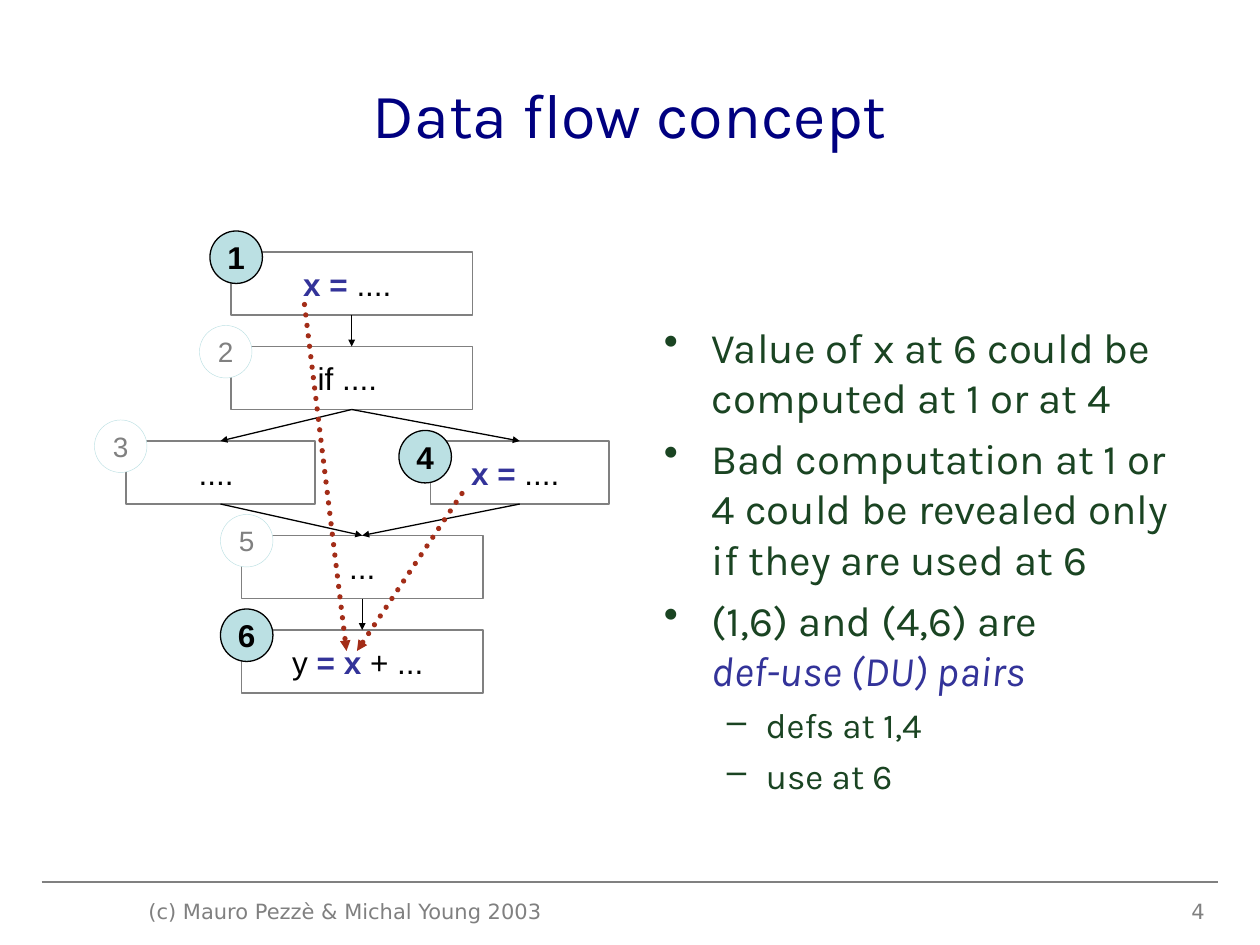
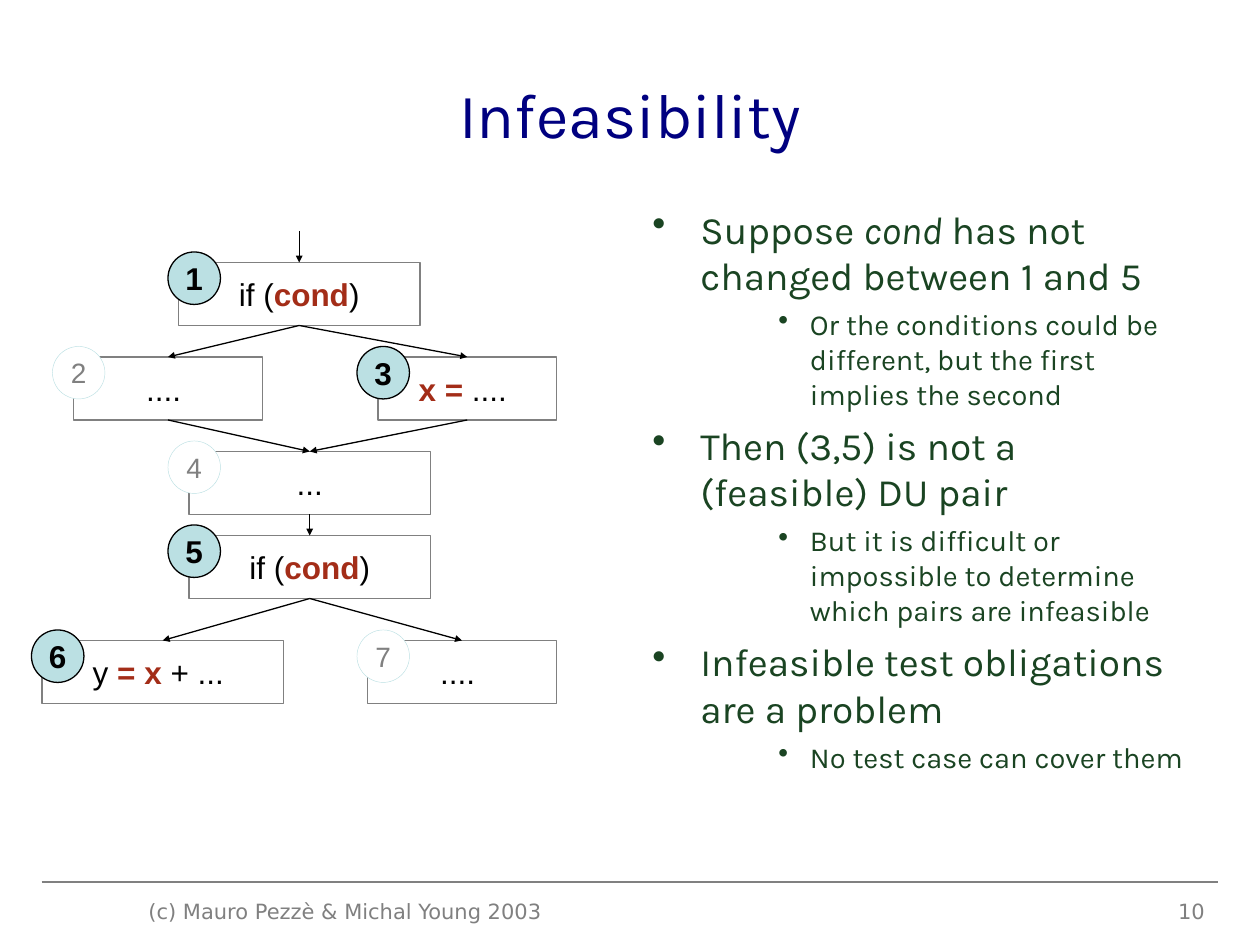
"""Build two data flow testing slides: a control flow graph beside bullet points."""
from lxml.etree import SubElement
from pptx import Presentation
from pptx.dml.color import RGBColor
from pptx.enum.dml import MSO_LINE
from pptx.enum.shapes import MSO_CONNECTOR, MSO_SHAPE
from pptx.enum.text import MSO_ANCHOR, PP_ALIGN
from pptx.oxml.ns import qn
from pptx.util import Inches, Pt

NAVY = RGBColor(0x00, 0x00, 0x80)
INDIGO = RGBColor(0x33, 0x33, 0x99)
RED = RGBColor(0xA3, 0x2D, 0x18)
GREEN = RGBColor(0x1A, 0x44, 0x22)
TEAL = RGBColor(0xBB, 0xE0, 0xE3)
GRAY = RGBColor(0x80, 0x80, 0x80)
BLACK = RGBColor(0x00, 0x00, 0x00)
WHITE = RGBColor(0xFF, 0xFF, 0xFF)

HEADING_FONT, GRAPH_FONT, FOOTER_FONT = "Karla", "Arial", "DejaVu Sans"
COPYRIGHT = "(c) Mauro Pezzè & Michal Young 2003"

GRID_PER_INCH = 12
NODE_HEIGHT, BADGE_SIZE = 6, 5
TOP, BOTTOM = 0, 2

# level: bullet, left indent, hanging indent
LEVELS = {0: ("•", 0.38, 0.38), 1: ("–", 0.81, 0.31), 2: ("•", 1.25, 0.25)}

# Text between bars is emphasised.
# nodes: number -> (column, row, width, badge shift, active, label), in grid units
SLIDES = [
    {
        "title": "Data flow concept",
        "number": "4",
        "accent": INDIGO,
        "italic_color": INDIGO,
        "nodes": {
            1: (22, 24, 23, (-2, -2), True, "|x =| .... "),
            2: (22, 33, 23, (-3, -2), False, "if .... "),
            3: (12, 42, 18, (-3, -2), False, ".... "),
            4: (41, 42, 17, (-3, -1), True, "|x =| .... "),
            5: (23, 51, 23, (-2, -2), False, "..."),
            6: (23, 60, 23, (-2, -2), True, "y |= x| + ... "),
        },
        "edges": [(1, 2), (2, 3), (2, 4), (3, 5), (4, 5), (5, 6)],
        "entry": None,
        "def_use": [((44, 47), (34, 62)), ((29, 29), (33, 62))],
        "body": (5.17, 2.5, 4.42, 4.25),
        "level_style": {0: (24, 6), 1: (20, 5)},
        "bullets": [
            (0, "Value of x at 6 could be computed at 1 or at 4"),
            (0, "Bad computation at 1 or 4 could be revealed only if they are used at 6"),
            (0, "(1,6) and (4,6) are\n|def-use (DU) pairs|"),
            (1, "defs at 1,4"),
            (1, "use at 6"),
        ],
    },
    {
        "title": "Infeasibility",
        "number": "10",
        "accent": RED,
        "italic_color": GREEN,
        "nodes": {
            1: (17, 25, 23, (-1, -1), True, "if (|cond|)"),
            2: (7, 34, 18, (-2, -1), False, ".... "),
            3: (36, 34, 17, (-2, -1), True, "|x =| .... "),
            4: (18, 43, 23, (-2, -1), False, "..."),
            5: (18, 51, 23, (-2, -1), True, "if (|cond|)"),
            6: (4, 61, 23, (-1, -1), True, "y |= x| + ... "),
            7: (35, 61, 18, (-1, -1), False, ".... "),
        },
        "edges": [(1, 2), (1, 3), (2, 4), (3, 4), (4, 5), (5, 6), (5, 7)],
        "entry": ((28.5, 22), 1),
        "def_use": [],
        "body": (5.08, 1.58, 4.42, 5.33),
        "level_style": {0: (22.2, 6), 2: (16.6, 4.5)},
        "bullets": [
            (0, "Suppose |cond| has not changed between 1 and 5"),
            (2, "Or the conditions could be different, but the first implies the second"),
            (0, "Then (3,5) is not a (feasible) DU pair"),
            (2, "But it is difficult or impossible to determine which pairs are infeasible"),
            (0, "Infeasible test obligations are a problem"),
            (2, "No test case can cover them"),
        ],
    },
]


def grid(*units):
    return [Inches(unit / GRID_PER_INCH) for unit in units]


def add_runs(paragraph, text, font, size, color, emphasis_color=None, bold=False, italic=False):
    for index, part in enumerate(text.split("|")):
        emphasised = index % 2 == 1
        for line_index, line in enumerate(part.split("\n")):
            if line_index:
                paragraph.add_line_break()
            if not line:
                continue
            run = paragraph.add_run()
            run.text = line
            run.font.name = font
            run.font.size = Pt(size)
            run.font.color.rgb = emphasis_color if emphasised else color
            run.font.bold = bold and emphasised
            run.font.italic = italic and emphasised


def add_text_box(slide, box, anchor=MSO_ANCHOR.TOP):
    frame = slide.shapes.add_textbox(*map(Inches, box)).text_frame
    frame.word_wrap = True
    frame.vertical_anchor = anchor
    return frame


def add_line(slide, start, end, color=BLACK, width=0.75, arrow=True):
    line = slide.shapes.add_connector(MSO_CONNECTOR.STRAIGHT, *start, *end)
    line.line.color.rgb = color
    line.line.width = Pt(width)
    if arrow:
        SubElement(line.line._get_or_add_ln(), qn("a:tailEnd"), type="triangle", w="sm", len="sm")
    SubElement(line._element.spPr, qn("a:effectLst"))
    return line


def add_graph_shape(slide, kind, box, fill, outline, outline_width):
    shape = slide.shapes.add_shape(kind, *grid(*box))
    shape.shadow.inherit = False
    if fill is None:
        shape.fill.background()
    else:
        shape.fill.solid()
        shape.fill.fore_color.rgb = fill
    shape.line.color.rgb = outline
    shape.line.width = Pt(outline_width)
    frame = shape.text_frame
    frame.word_wrap = False
    frame.vertical_anchor = MSO_ANCHOR.MIDDLE
    paragraph = frame.paragraphs[0]
    paragraph.alignment = PP_ALIGN.CENTER
    return shape, paragraph


def add_badge(slide, number, column, row, active):
    fill, outline, width = (TEAL, BLACK, 0.75) if active else (WHITE, TEAL, 0.25)
    box = (column, row, BADGE_SIZE, BADGE_SIZE)
    _, paragraph = add_graph_shape(slide, MSO_SHAPE.OVAL, box, fill, outline, width)
    if active:
        add_runs(paragraph, f"|{number}|", GRAPH_FONT, 18, BLACK, BLACK, bold=True)
    else:
        add_runs(paragraph, str(number), GRAPH_FONT, 16, GRAY)


def add_graph(slide, content):
    boxes = {}
    for number, (column, row, width, _, _, label) in content["nodes"].items():
        box = (column, row, width, NODE_HEIGHT)
        boxes[number], paragraph = add_graph_shape(slide, MSO_SHAPE.RECTANGLE, box, None, GRAY, 0.75)
        add_runs(paragraph, label, GRAPH_FONT, 18, BLACK, content["accent"], bold=True)

    for source, target in content["edges"]:
        edge = add_line(slide, (0, 0), (0, 0))
        edge.begin_connect(boxes[source], BOTTOM)
        edge.end_connect(boxes[target], TOP)
    if content["entry"]:
        start, target = content["entry"]
        edge = add_line(slide, grid(*start), grid(*start))
        edge.end_connect(boxes[target], TOP)

    for start, end in content["def_use"]:
        pair = add_line(slide, grid(*start), grid(*end), RED, 3)
        pair.line.dash_style = MSO_LINE.ROUND_DOT
        pair.line._get_or_add_ln().set("cap", "rnd")

    for number, (column, row, _, (shift_x, shift_y), active, _) in content["nodes"].items():
        add_badge(slide, number, column + shift_x, row + shift_y, active)


def format_bullet(paragraph, level):
    character, indent, hanging = LEVELS[level]
    properties = paragraph._p.get_or_add_pPr()
    properties.set("marL", str(Inches(indent)))
    properties.set("indent", str(-Inches(hanging)))
    bullet_color = SubElement(properties, qn("a:buClr"))
    SubElement(bullet_color, qn("a:srgbClr"), val=str(GREEN))
    SubElement(properties, qn("a:buChar"), char=character)
    paragraph.level = level


def add_bullets(slide, content):
    frame = add_text_box(slide, content["body"])
    for index, (level, text) in enumerate(content["bullets"]):
        paragraph = frame.add_paragraph() if index else frame.paragraphs[0]
        size, space_before = content["level_style"][level]
        format_bullet(paragraph, level)
        paragraph.space_before = Pt(space_before if index else 0)
        add_runs(paragraph, text, HEADING_FONT, size, GREEN, content["italic_color"], italic=True)


def add_frame(slide, title, number):
    add_line(slide, (Inches(0.33), Inches(7)), (Inches(9.67), Inches(7)), GRAY, arrow=False)
    heading = add_text_box(slide, (0.5, 0.3, 9, 1.2), MSO_ANCHOR.MIDDLE).paragraphs[0]
    heading.alignment = PP_ALIGN.CENTER
    add_runs(heading, title, HEADING_FONT, 36, NAVY)
    footers = [
        (COPYRIGHT, (1.08, 7.08, 3.5, 0.27), PP_ALIGN.LEFT),
        (number, (7.33, 7.08, 2.33, 0.27), PP_ALIGN.RIGHT),
    ]
    for text, box, alignment in footers:
        paragraph = add_text_box(slide, box).paragraphs[0]
        paragraph.alignment = alignment
        add_runs(paragraph, text, FOOTER_FONT, 12, GRAY)


def main():
    presentation = Presentation()
    presentation.slide_width, presentation.slide_height = Inches(10), Inches(7.5)
    for content in SLIDES:
        slide = presentation.slides.add_slide(presentation.slide_layouts[6])
        add_frame(slide, content["title"], content["number"])
        add_graph(slide, content)
        add_bullets(slide, content)
    presentation.save("out.pptx")


if __name__ == "__main__":
    main()
